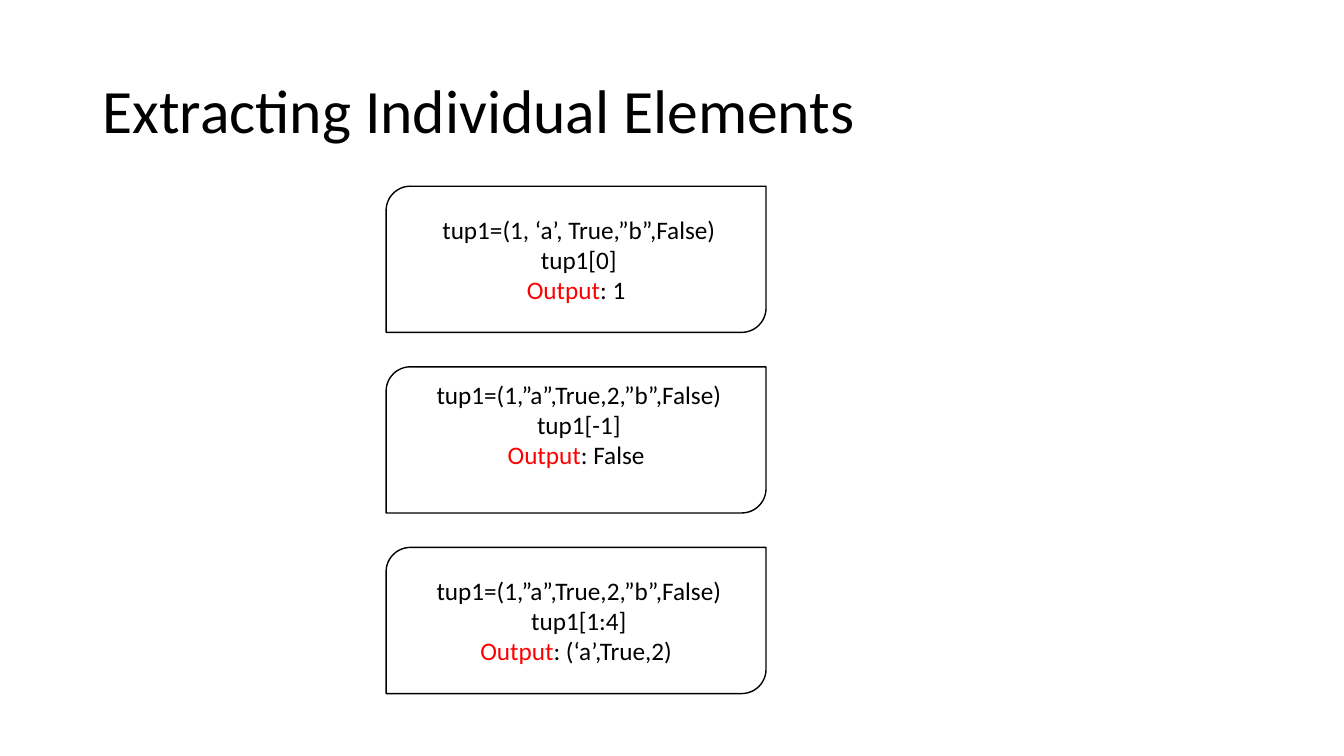
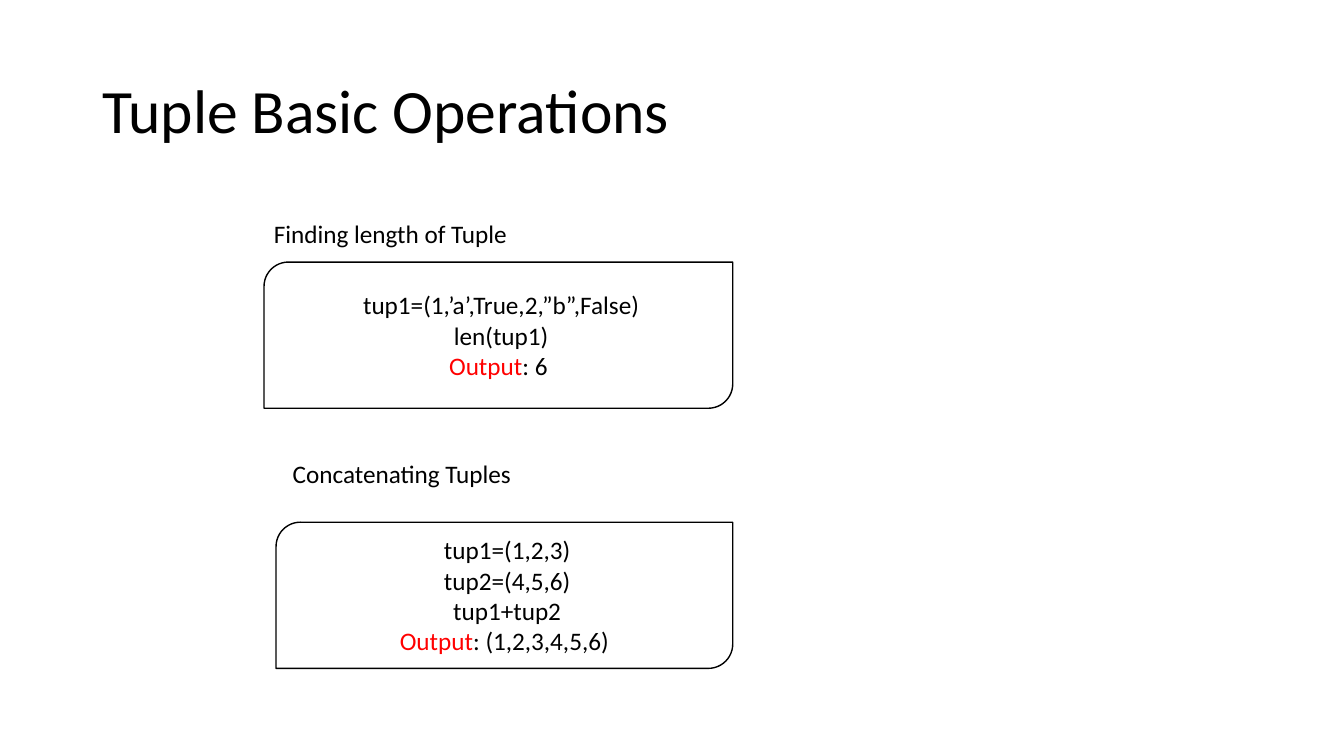
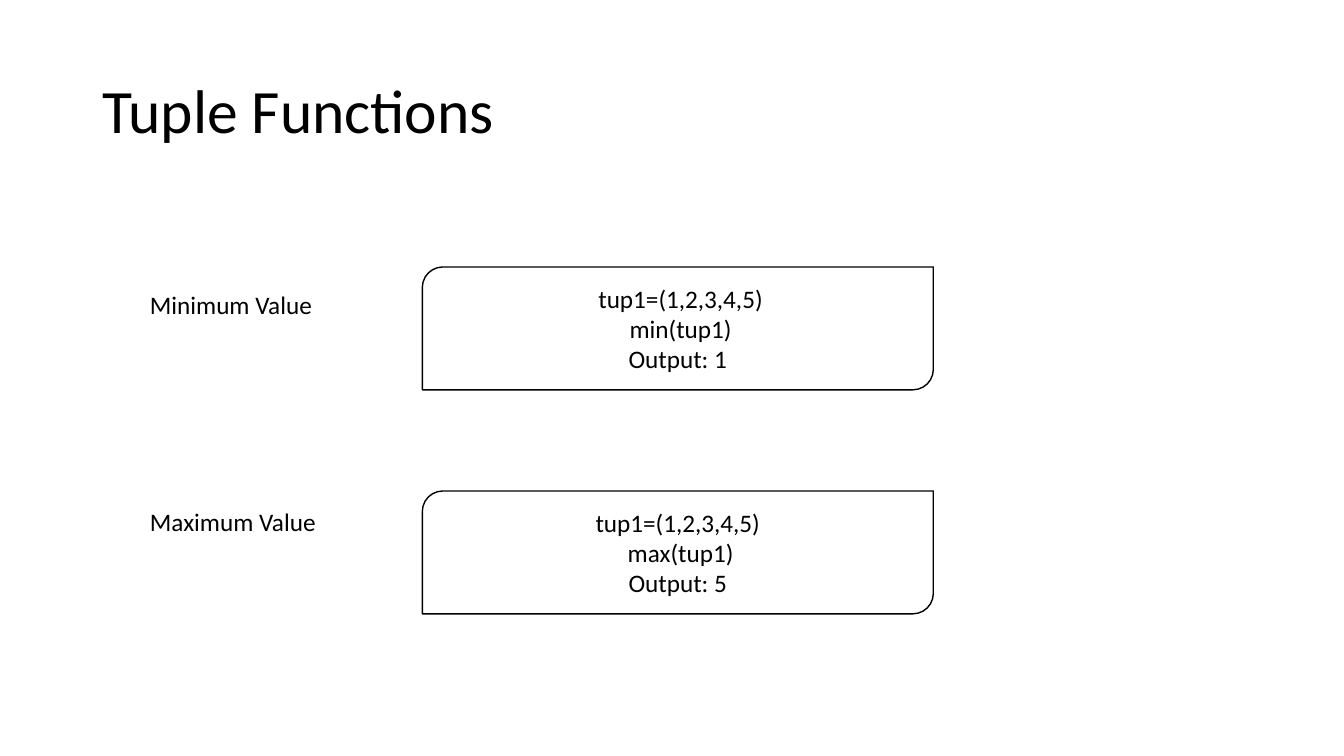
from dataclasses import dataclass

from pptx import Presentation
from pptx.dml.color import RGBColor
from pptx.enum.shapes import MSO_SHAPE
from pptx.enum.text import MSO_ANCHOR, MSO_AUTO_SIZE, PP_ALIGN
from pptx.util import Pt

CARD = MSO_SHAPE.ROUND_2_DIAG_RECTANGLE
LEFT, CENTER = PP_ALIGN.LEFT, PP_ALIGN.CENTER
TOP, MIDDLE = MSO_ANCHOR.TOP, MSO_ANCHOR.MIDDLE
GROW = MSO_AUTO_SIZE.SHAPE_TO_FIT_TEXT


@dataclass(frozen=True)
class Theme:
    font: str = "Calibri"
    ink: RGBColor = RGBColor(0, 0, 0)
    paper: RGBColor = RGBColor(255, 255, 255)
    accent: RGBColor = RGBColor(255, 0, 0)
    title: int = 44
    body: int = 18
    rule: int = 1


theme = Theme()
KEY = "Output"


def write(shape, text, size=theme.body, align=LEFT, anchor=TOP, wrap=True,
          leading=1.0, key_color=theme.ink):
    """Fill a shape with lines of text; a leading KEY gets its own colour."""
    frame = shape.text_frame
    frame.word_wrap = wrap
    frame.vertical_anchor = anchor
    for i, line in enumerate(text.split("\n")):
        para = frame.add_paragraph() if i else frame.paragraphs[0]
        para.alignment = align
        para.line_spacing = leading
        parts = [(line, theme.ink)]
        if line.startswith(KEY):
            parts = [(KEY, key_color), (line[len(KEY):], theme.ink)]
        for words, color in parts:
            run = para.add_run()
            run.text = words
            run.font.name = theme.font
            run.font.size = Pt(size)
            run.font.color.rgb = color
    return frame


# Each card: left, top, width, height, text, key colour, bottom inset.
# Each label: left, top, width, text.
INSET = 3.6
LINE = 22
RED, INK = theme.accent, theme.ink
TALL, LOW = 104.4, 87.8

picks = [
    (" tup1=(1, ‘a’, True,”b”,False)\n tup1[0]\nOutput: 1", INSET),
    (" tup1=(1,”a”,True,2,”b”,False)\n tup1[-1]\nOutput: False", INSET + LINE),
    (" tup1=(1,”a”,True,2,”b”,False)\n tup1[1:4]\nOutput: (‘a’,True,2)", INSET),
]
pages = [
    ("Extracting Individual Elements", [], [
        (275.8, 133 + 129 * i, 271.4, TALL, text, RED, inset)
        for i, (text, inset) in enumerate(picks)
    ]),
    ("Tuple Basic Operations", [
        (188.6, 152.6, 182.9, "Finding length of Tuple"),
        (202, 324, 172, "Concatenating Tuples"),
    ], [
        (188.6, 187.2, 334.8, TALL,
         " tup1=(1,’a’,True,2,”b”,False)\n len(tup1)\nOutput: 6", RED, INSET),
        (197.2, 373, 326.2, TALL,
         " tup1=(1,2,3)\n tup2=(4,5,6)\n tup1+tup2\nOutput: (1,2,3,4,5,6)",
         RED, INSET),
    ]),
    ("Tuple Functions", [
        (100, 203, 131.8, "Minimum Value"),
        (100, 358, 134.6, "Maximum Value"),
    ], [
        (301.7, 190.7, 365, LOW,
         " tup1=(1,2,3,4,5)\n min(tup1)\nOutput: 1", INK, INSET),
        (301.7, 350.7, 365, LOW,
         "tup1=(1,2,3,4,5)\n max(tup1)\nOutput: 5", INK, INSET),
    ]),
]

deck = Presentation()
deck.slide_width, deck.slide_height = Pt(960), Pt(540)
blank = deck.slide_layouts[6]

for title, labels, cards in pages:
    shapes = deck.slides.add_slide(blank).shapes
    head = shapes.add_textbox(Pt(66), Pt(28.8), Pt(828), Pt(104.4))
    write(head, title, size=theme.title, anchor=MIDDLE, leading=0.9)

    for x, y, wide, text in labels:
        label = shapes.add_textbox(Pt(x), Pt(y), Pt(wide), Pt(29))
        write(label, text, wrap=False).auto_size = GROW

    for x, y, wide, high, text, color, inset in cards:
        card = shapes.add_shape(CARD, Pt(x), Pt(y), Pt(wide), Pt(high))
        card.shadow.inherit = False
        card.fill.solid()
        card.fill.fore_color.rgb = theme.paper
        card.line.color.rgb = theme.ink
        card.line.width = Pt(theme.rule)
        frame = write(card, text, align=CENTER, anchor=MIDDLE, key_color=color)
        frame.margin_bottom = Pt(inset)

deck.save("out.pptx")
